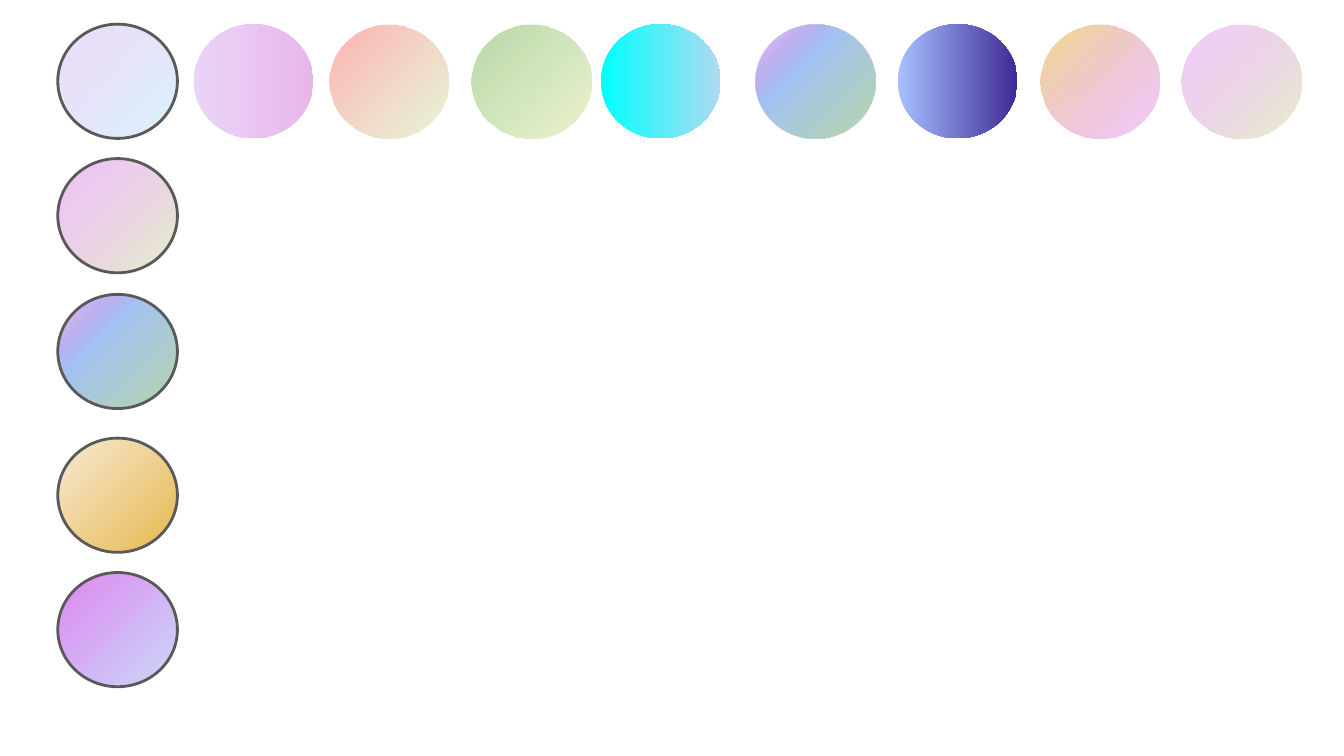
from dataclasses import dataclass

from pptx import Presentation
from pptx.dml.color import RGBColor
from pptx.enum import shapes
from pptx.oxml import ns, xmlchemy
from pptx.util import Inches, Pt


@dataclass(frozen=True)
class Theme:
    outline: str = "595959"
    outline_width: float = 1.5
    lilac: str = "9F39D5"
    orchid: str = "DE87F1"
    sage: str = "B6D7A8"
    lime: str = "E0EDBA"


theme = Theme()
WIDTH, HEIGHT = 0.89, 0.85
LEFT, TOP = 0.43, 0.18
RIGHTWARD, DOWN_RIGHT, UP_LEFT = 0, 45, 225


def set_gradient(shape, angle, stops):
    """Fill with (position %, colour, opacity %) stops, angle clockwise in degrees."""
    shape.fill.gradient()
    gradient = shape._element.spPr.find(ns.qn("a:gradFill"))
    for child in list(gradient):
        gradient.remove(child)
    stop_list = xmlchemy.OxmlElement("a:gsLst")
    gradient.append(stop_list)
    for position, colour, opacity in stops:
        stop = xmlchemy.OxmlElement("a:gs")
        stop.set("pos", str(position * 1000))
        rgb = xmlchemy.OxmlElement("a:srgbClr")
        rgb.set("val", colour)
        if opacity < 100:
            alpha = xmlchemy.OxmlElement("a:alpha")
            alpha.set("val", str(opacity * 1000))
            rgb.append(alpha)
        stop.append(rgb)
        stop_list.append(stop)
    direction = xmlchemy.OxmlElement("a:lin")
    direction.set("ang", str(angle * 60000))
    direction.set("scaled", "0")
    gradient.append(direction)


presentation = Presentation()
presentation.slide_width = Inches(10)
presentation.slide_height = Inches(10 * 9 / 16)
slide = presentation.slides.add_slide(presentation.slide_layouts[6])

sage_blue_lilac = [(0, theme.sage, 100), (64, "A4C2F4", 100), (100, theme.lilac, 17)]

# Top row: left edge, angle, stops
top_row = [
    (1.44, RIGHTWARD, [(0, "E9D4F7", 100), (100, "E8B7EA", 100)]),
    (2.45, UP_LEFT, [(0, "D8EDBA", 58), (100, "FE9696", 74)]),
    (3.51, UP_LEFT, [(0, theme.lime, 71), (100, theme.sage, 100)]),
    (4.47, RIGHTWARD, [(0, "00FFFF", 100), (100, "B0DAF1", 100)]),
    (5.62, UP_LEFT, sage_blue_lilac),
    (6.68, RIGHTWARD, [(0, "A8C0FF", 100), (100, "3F2B96", 100)]),
    (7.74, UP_LEFT, [(0, theme.orchid, 40), (100, "F1DD87", 100)]),
    (8.79, UP_LEFT, [(0, theme.lime, 79), (100, theme.orchid, 40)]),
]

# Outlined left column: top edge, angle, stops
left_column = [
    (TOP, UP_LEFT, [(0, "69D4F4", 26), (100, theme.lilac, 17)]),
    (1.18, UP_LEFT, [(0, theme.lime, 79), (100, theme.orchid, 48)]),
    (2.19, UP_LEFT, sage_blue_lilac),
    (3.26, DOWN_RIGHT, [(0, "F7E9D4", 100), (100, "E6B94E", 100)]),
    (4.26, UP_LEFT, [(0, "C9DAF8", 100), (100, theme.orchid, 100)]),
]

# The top row is stacked just after the corner swatch
swatches = [(LEFT, top, angle, stops, True) for top, angle, stops in left_column]
swatches[1:1] = [(left, TOP, angle, stops, False) for left, angle, stops in top_row]

for left, top, angle, stops, outlined in swatches:
    swatch = slide.shapes.add_shape(
        shapes.MSO_SHAPE.OVAL, Inches(left), Inches(top), Inches(WIDTH), Inches(HEIGHT)
    )
    swatch.shadow.inherit = False
    set_gradient(swatch, angle, stops)
    if outlined:
        swatch.line.color.rgb = RGBColor.from_string(theme.outline)
        swatch.line.width = Pt(theme.outline_width)
    else:
        swatch.line.fill.background()

presentation.save("out.pptx")
